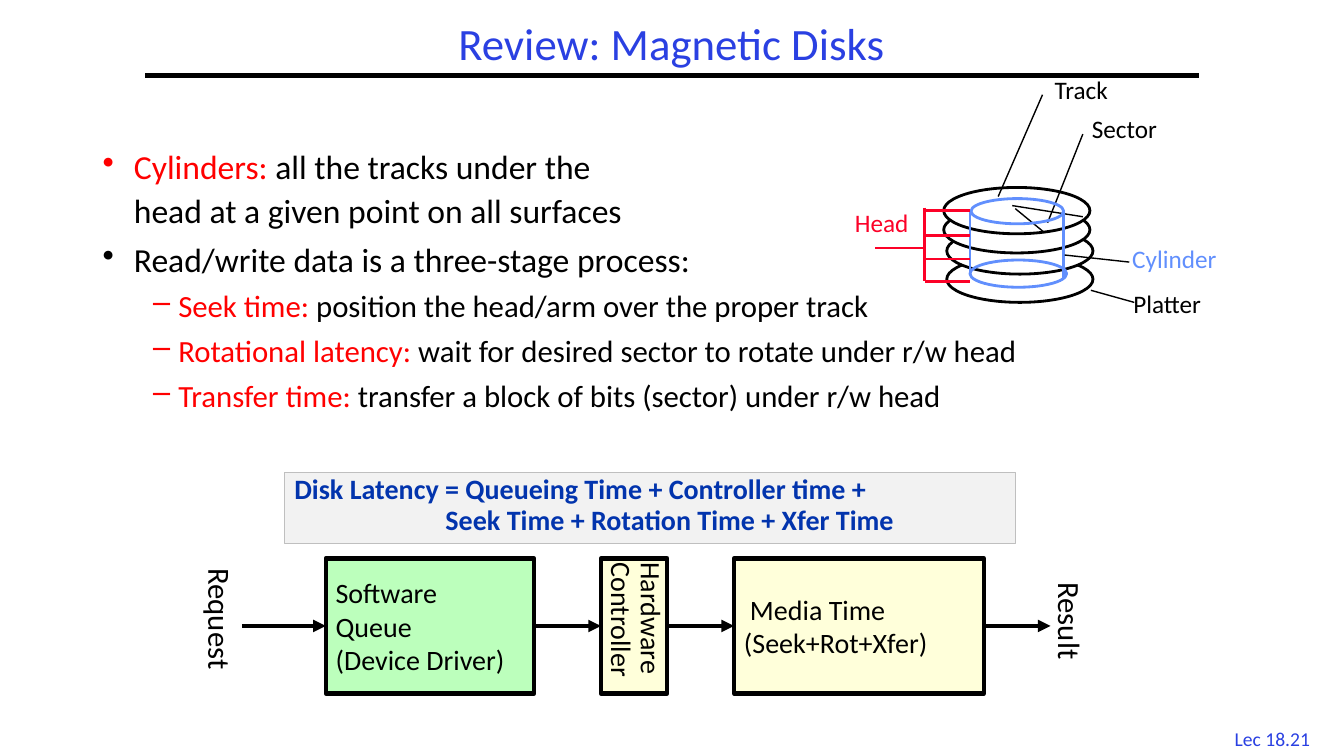
from dataclasses import dataclass

from lxml import etree
from pptx import Presentation
from pptx.dml.color import RGBColor
from pptx.enum.shapes import MSO_CONNECTOR, MSO_SHAPE
from pptx.enum.text import MSO_ANCHOR, MSO_AUTO_SIZE, PP_ALIGN
from pptx.oxml.ns import qn
from pptx.util import Pt

EMU_PER_PX = 9144
STRAIGHT = MSO_CONNECTOR.STRAIGHT
RECT, ELLIPSE = MSO_SHAPE.RECTANGLE, MSO_SHAPE.OVAL
LEFT, CENTER = PP_ALIGN.LEFT, PP_ALIGN.CENTER
TOP, MIDDLE = MSO_ANCHOR.TOP, MSO_ANCHOR.MIDDLE
NO_AUTOFIT = MSO_AUTO_SIZE.NONE
LEFT_SIDE, RIGHT_SIDE = 1, 3


@dataclass(frozen=True)
class Theme:
    font: str = "Calibri"
    black: str = "000000"
    white: str = "FFFFFF"
    title_blue: str = "2A40E2"
    term_red: str = "FF0000"
    head_red: str = "FC0128"
    cylinder_blue: str = "618FFD"
    formula_blue: str = "0234AD"
    formula_fill: str = "F2F2F2"
    formula_line: str = "BFBFBF"
    queue_green: str = "BCFFBC"
    device_yellow: str = "FFFFDA"
    title_size: int = 32
    point_size: int = 24
    stage_size: int = 22
    flow_size: int = 20
    label_size: int = 18
    footer_size: int = 14


THEME = Theme()


def px(value):
    return value * EMU_PER_PX


def rgb(value):
    return RGBColor.from_string(value)


def write(frame, text, size, color=THEME.black, term="", term_color=THEME.term_red,
          bold=False, align=LEFT, spacing=1.0, before=0, bullet=None, left=0, hang=0):
    paragraph = frame.paragraphs[0]
    if paragraph.runs:
        paragraph = frame.add_paragraph()
        paragraph.space_before = Pt(before)
    paragraph.alignment = align
    paragraph.line_spacing = spacing
    properties = paragraph._p.get_or_add_pPr()
    properties.set("marL", str(px(left)))
    properties.set("indent", str(px(-hang)))
    if bullet:
        etree.SubElement(properties, qn("a:buChar")).set("char", bullet)
    pieces = [(term, term_color)] if term else []
    pieces += [(line, color) for line in text.split("\n")]
    for index, (piece, piece_color) in enumerate(pieces):
        if index > bool(term):
            paragraph.add_line_break()
        run = paragraph.add_run()
        run.text = piece
        run.font.name = THEME.font
        run.font.size = Pt(size)
        run.font.bold = bold
        run.font.color.rgb = rgb(piece_color)


class DiskSlide:
    def __init__(self, slide, theme):
        self.slide = slide
        self.theme = theme

    def frame(self, shape, anchor=TOP, inset=(10, 5)):
        frame = shape.text_frame
        frame.word_wrap = True
        frame.auto_size = NO_AUTOFIT
        frame.vertical_anchor = anchor
        frame.margin_left = frame.margin_right = px(inset[0])
        frame.margin_top = frame.margin_bottom = px(inset[1])
        return frame

    def title(self, text, x, y, w, h):
        title = self.slide.shapes.title
        title.left, title.top, title.width, title.height = map(px, (x, y, w, h))
        write(self.frame(title, MIDDLE), text, self.theme.title_size,
              self.theme.title_blue, align=CENTER, spacing=0.9)

    def text_box(self, x, y, w, h, inset=(10, 5), rotation=0):
        box = self.slide.shapes.add_textbox(*map(px, (x, y, w, h)))
        box.rotation = rotation
        return self.frame(box, inset=inset)

    def label(self, text, x, y, w, color):
        write(self.text_box(x, y, w, 31, inset=(7, 3)), text,
              self.theme.label_size, color, spacing=0.85)

    def shape(self, kind, x, y, w, h, fill, line, weight):
        shape = self.slide.shapes.add_shape(kind, *map(px, (x, y, w, h)))
        shape.shadow.inherit = False
        if fill:
            shape.fill.solid()
            shape.fill.fore_color.rgb = rgb(fill)
        else:
            shape.fill.background()
        shape.line.color.rgb = rgb(line)
        shape.line.width = Pt(weight)
        return shape

    def line(self, x1, y1, x2, y2, color, weight):
        line = self.slide.shapes.add_connector(STRAIGHT, *map(px, (x1, y1, x2, y2)))
        line.line.color.rgb = rgb(color)
        line.line.width = Pt(weight)
        etree.SubElement(line._element.spPr, qn("a:effectLst"))
        return line

    def arrow(self, x1, x2, y, source=None, target=None):
        arrow = self.line(x1, y, x2, y, self.theme.black, 3)
        etree.SubElement(arrow.line._get_or_add_ln(), qn("a:tailEnd")).set("type", "triangle")
        if source:
            arrow.begin_connect(source, RIGHT_SIDE)
        if target:
            arrow.end_connect(target, LEFT_SIDE)


def draw_points(page):
    theme = page.theme
    points = page.text_box(92, 136, 1150, 328)
    for term, text in (
        ("Cylinders: ", "all the tracks under the \nhead at a given point on all surfaces"),
        ("", "Read/write data is a three-stage process:"),
    ):
        write(points, text, theme.point_size, term=term, spacing=1.1, before=3,
              bullet="•", left=31, hang=31)
    for term, text in (
        ("Seek time: ", "position the head/arm over the proper track"),
        ("Rotational latency: ", "wait for desired sector to rotate under r/w head"),
        ("Transfer time: ", "transfer a block of bits (sector) under r/w head"),
    ):
        write(points, text, theme.stage_size, term=term, spacing=1.1, before=3,
              bullet="–", left=75, hang=25)


def draw_disk(page):
    theme = page.theme
    for x, y in ((939, 254), (939, 226), (936, 205), (936, 186)):
        page.shape(ELLIPSE, x, y, 145, 46, theme.white, theme.black, 2)
    sector_edges = ((1007, 207, 1035, 230), (1004, 204, 1074, 215))
    sector_leader, track_leader = (1039, 221, 1074, 133), (990, 195, 1034, 94)
    for ends in (*sector_edges, sector_leader, track_leader):
        page.line(*ends, theme.black, 1)
    for x, y, w, h in ((962, 258, 96, 27), (963, 197, 92, 25)):
        page.shape(ELLIPSE, x, y, w, h, None, theme.cylinder_blue, 2)
    for x, bottom in ((962, 271), (1055, 276)):
        page.line(x, 209, x, bottom, theme.cylinder_blue, 2)
    cylinder_leader, platter_leader = (1056, 253, 1120, 260), (1082, 288, 1125, 300)
    for ends in (cylinder_leader, platter_leader):
        page.line(*ends, theme.black, 1)
    page.line(917, 206, 917, 279, theme.head_red, 2)
    for y in (209, 234, 257, 279):
        page.line(917, y, 962, y, theme.head_red, 2)
    page.line(917, 246, 868, 246, theme.head_red, 2)
    for text, x, y, w, color in (
        ("Track", 1039, 75, 76, theme.black),
        ("Sector", 1076, 114, 87, theme.black),
        ("Head", 841, 207, 74, theme.head_red),
        ("Cylinder", 1116, 243, 107, theme.cylinder_blue),
        ("Platter", 1117, 288, 87, theme.black),
    ):
        page.label(text, x, y, w, color)


def draw_flow(page):
    theme = page.theme
    top, height = 554, 134
    middle = top + height // 2
    queue, controller, media = (
        page.shape(RECT, x, top, w, height, fill, theme.black, 3)
        for x, w, fill in ((323, 207, theme.queue_green),
                           (596, 66, theme.device_yellow),
                           (728, 248, theme.device_yellow))
    )
    queue_text = page.frame(queue, MIDDLE)
    for text in ("Software", "Queue", "(Device Driver)"):
        write(queue_text, text, theme.flow_size)
    controller_text = page.frame(controller, MIDDLE, inset=(5, 4))
    controller_text._txBody.bodyPr.set("vert", "eaVert")
    for text in ("Hardware", "Controller"):
        write(controller_text, text, theme.flow_size, spacing=0.8, before=2)
    media_text = page.frame(media, MIDDLE)
    write(media_text, "Media Time", theme.flow_size, left=6)
    write(media_text, "(Seek+Rot+Xfer)", theme.flow_size)
    page.arrow(240, 323, middle, target=queue)
    page.arrow(530, 596, middle, queue, controller)
    page.arrow(662, 728, middle, controller, media)
    page.arrow(976, 1042, middle, source=media)
    for text, x, w in (("Request", 151, 135), ("Result", 1008, 107)):
        write(page.text_box(x, 598, w, 47, rotation=90), text, theme.stage_size)


def draw_formula(page):
    theme = page.theme
    formula = page.shape(RECT, 282, 469, 725, 70, theme.formula_fill, theme.formula_line, 0.75)
    formula_text = page.frame(formula)
    for text, left in (("Disk Latency = Queueing Time + Controller time +", 0),
                       ("Seek Time + Rotation Time + Xfer Time", 150)):
        write(formula_text, text, theme.flow_size, theme.formula_blue, bold=True,
              spacing=0.8, before=3, left=left)


def main():
    deck = Presentation()
    deck.slide_width, deck.slide_height = px(1333), px(750)
    title_only = deck.slide_layouts[5]
    page = DiskSlide(deck.slides.add_slide(title_only), THEME)
    write(page.text_box(1208, 716, 108, 33), "Lec 18.21", THEME.footer_size,
          THEME.title_blue, align=CENTER)
    page.line(144, 75, 1189, 75, THEME.black, 3)
    page.title("Review: Magnetic Disks", 144, 17, 1044, 58)
    draw_points(page)
    draw_disk(page)
    draw_flow(page)
    draw_formula(page)
    deck.save("out.pptx")


if __name__ == "__main__":
    main()
